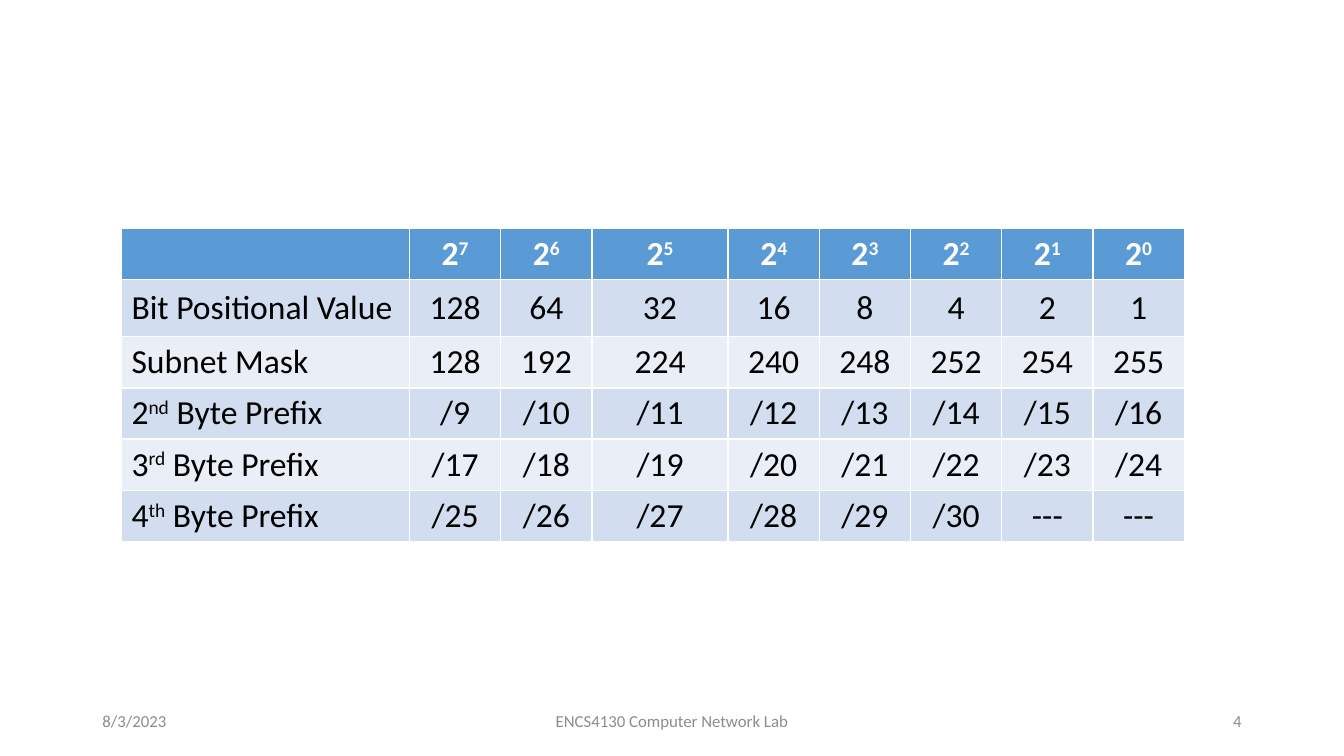
"""Builds a slide with a table of subnet masks and prefix lengths per bit position."""
import pptx
import pptx.dml.color
import pptx.enum.text
import pptx.util

Cm = pptx.util.Cm
Pt = pptx.util.Pt
ALIGN = pptx.enum.text.PP_ALIGN
MIDDLE = pptx.enum.text.MSO_ANCHOR.MIDDLE


def color(hex_string):
    """Returns the colour for a hex string."""
    return pptx.dml.color.RGBColor.from_string(hex_string)


def write(text_frame, text, size, font_color, alignment, bold=False):
    """Writes one paragraph; parts between carets are superscript."""
    paragraph = text_frame.paragraphs[0]
    paragraph.alignment = alignment
    paragraph.font.name = "Calibri"
    paragraph.font.size = Pt(size)
    paragraph.font.bold = bold
    paragraph.font.color.rgb = color(font_color)
    for index, part in enumerate(text.split("^")):
        if part:
            run = paragraph.add_run()
            run.text = part
            if index % 2:
                run._r.get_or_add_rPr().set("baseline", "30000")


presentation = pptx.Presentation()
presentation.slide_width = Cm(33.87)
presentation.slide_height = Cm(19.05)
slide = presentation.slides.add_slide(presentation.slide_layouts[6])

bits = range(7, -1, -1)
rows = [
    [""] + [f"2^{bit}" for bit in bits],
    ["Bit Positional Value"] + [str(2 ** bit) for bit in bits],
    ["Subnet Mask"] + [str(256 - 2 ** bit) for bit in bits],
    ["2^nd^ Byte Prefix"] + [f"/{16 - bit}" for bit in bits],
    ["3^rd^ Byte Prefix"] + [f"/{24 - bit}" for bit in bits],
    ["4^th^ Byte Prefix"] + [f"/{32 - bit}" if bit > 1 else "---" for bit in bits],
]
column_widths = [7.26, 2.3, 2.3, 3.43] + [2.3] * 5
row_heights = [1.27, 1.45] + [1.27] * 4

table = slide.shapes.add_table(
    len(rows), len(column_widths), Cm(3.06), Cm(5.75),
    Cm(sum(column_widths)), Cm(sum(row_heights))).table
for column, width in zip(table.columns, column_widths):
    column.width = Cm(width)
for row, height in zip(table.rows, row_heights):
    row.height = Cm(height)

for row_index, texts in enumerate(rows):
    is_header = row_index == 0
    band_fill = "D2DEEF" if row_index % 2 else "EAEFF7"
    for column_index, text in enumerate(texts):
        cell = table.cell(row_index, column_index)
        cell.vertical_anchor = MIDDLE
        cell.fill.solid()
        cell.fill.fore_color.rgb = color("5B9BD5" if is_header else band_fill)
        write(cell.text_frame, text, 24, "FFFFFF" if is_header else "000000",
              ALIGN.CENTER if column_index else ALIGN.LEFT, is_header)

footers = [
    ("8/3/2023", 2.33, 7.62, ALIGN.LEFT),
    ("ENCS4130 Computer Network Lab", 11.22, 11.43, ALIGN.CENTER),
    ("4", 23.92, 7.62, ALIGN.RIGHT),
]
for text, left, width, alignment in footers:
    footer = slide.shapes.add_textbox(Cm(left), Cm(17.66), Cm(width), Cm(1.01))
    footer.text_frame.word_wrap = True
    footer.text_frame.vertical_anchor = MIDDLE
    write(footer.text_frame, text, 12, "8C8C8C", alignment)

presentation.save("out.pptx")
